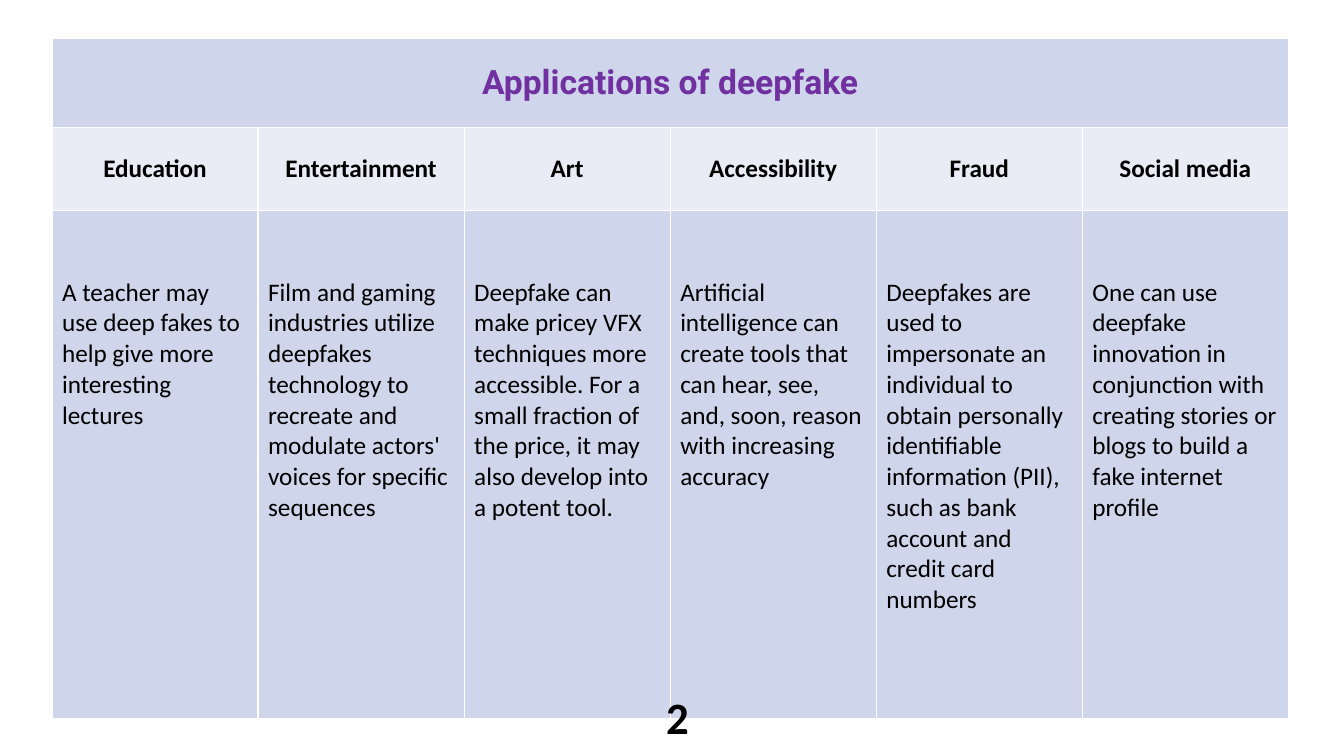
from lxml import etree
from pptx import Presentation
from pptx import util as u
from pptx.dml.color import RGBColor
from pptx.enum import text
from pptx.oxml import ns

PURPLE = RGBColor(0x70, 0x30, 0xA0)
BLACK = RGBColor(0, 0, 0)
BAND_DARK = RGBColor(0xCF, 0xD5, 0xEA)
BAND_LIGHT = RGBColor(0xE9, 0xEB, 0xF5)

APPLICATIONS = [
    ("Education", "A teacher may use deep fakes to help give more interesting lectures"),
    ("Entertainment", "Film and gaming industries utilize deepfakes technology to recreate "
     "and modulate actors' voices for specific sequences"),
    ("Art", "Deepfake can make pricey VFX techniques more accessible. For a small "
     "fraction of the price, it may also develop into a potent tool."),
    ("Accessibility", "Artificial intelligence can create tools that can hear, see, and, "
     "soon, reason with increasing accuracy"),
    ("Fraud", "Deepfakes are used to impersonate an individual to obtain personally "
     "identifiable information (PII), such as bank account and credit card numbers"),
    ("Social media", "One can use deepfake innovation in conjunction with creating stories "
     "or blogs to build a fake internet profile"),
]


def write(tf, words, size, bold=False, color=BLACK, font="Calibri", align=text.PP_ALIGN.LEFT):
    tf.text = words
    p = tf.paragraphs[0]
    p.alignment = align
    r = p.runs[0]
    r.font.size = u.Pt(size)
    r.font.bold = bold
    r.font.name = font
    r.font.color.rgb = color


def style_cell(cell, fill):
    cell.fill.solid()
    cell.fill.fore_color.rgb = fill
    # White 1 pt borders go before the fill
    for i, side in enumerate(("lnL", "lnR", "lnT", "lnB")):
        ln = etree.Element(ns.qn("a:" + side), w=str(u.Pt(1)))
        solid = etree.SubElement(ln, ns.qn("a:solidFill"))
        etree.SubElement(solid, ns.qn("a:srgbClr"), val="FFFFFF")
        cell._tc.get_or_add_tcPr().insert(i, ln)


prs = Presentation()
prs.slide_width, prs.slide_height = u.Cm(33.87), u.Cm(19.05)
s = prs.slides.add_slide(prs.slide_layouts[6])

# Table grid
table = s.shapes.add_table(3, len(APPLICATIONS), u.Cm(1.31), u.Cm(0.98),
                           u.Cm(31.16), u.Cm(17.12)).table
table.first_row = False
for row, height in zip(table.rows, (2.24, 2.08, 12.8)):
    row.height = u.Cm(height)
for r_no, fill in enumerate((BAND_DARK, BAND_LIGHT, BAND_DARK)):
    for c_no in range(len(APPLICATIONS)):
        style_cell(table.cell(r_no, c_no), fill)

# Title row
title = table.cell(0, 0)
title.merge(table.cell(0, len(APPLICATIONS) - 1))
title.vertical_anchor = text.MSO_ANCHOR.MIDDLE
write(title.text_frame, "Applications of deepfake", 24, True, PURPLE, "Roboto",
      text.PP_ALIGN.CENTER)

# Headings and descriptions
for c_no, (heading, description) in enumerate(APPLICATIONS):
    head = table.cell(1, c_no)
    head.vertical_anchor = text.MSO_ANCHOR.MIDDLE
    write(head.text_frame, heading, 18, True, align=text.PP_ALIGN.CENTER)
    body = table.cell(2, c_no)
    body.margin_top = u.Cm(1.68)
    write(body.text_frame, description, 18)

# Page number
tf = s.shapes.add_textbox(u.Cm(16.54), u.Cm(17.25), u.Cm(1.65), u.Cm(1.63)).text_frame
tf.word_wrap = True
write(tf, "2", 32, True)

prs.save("out.pptx")
